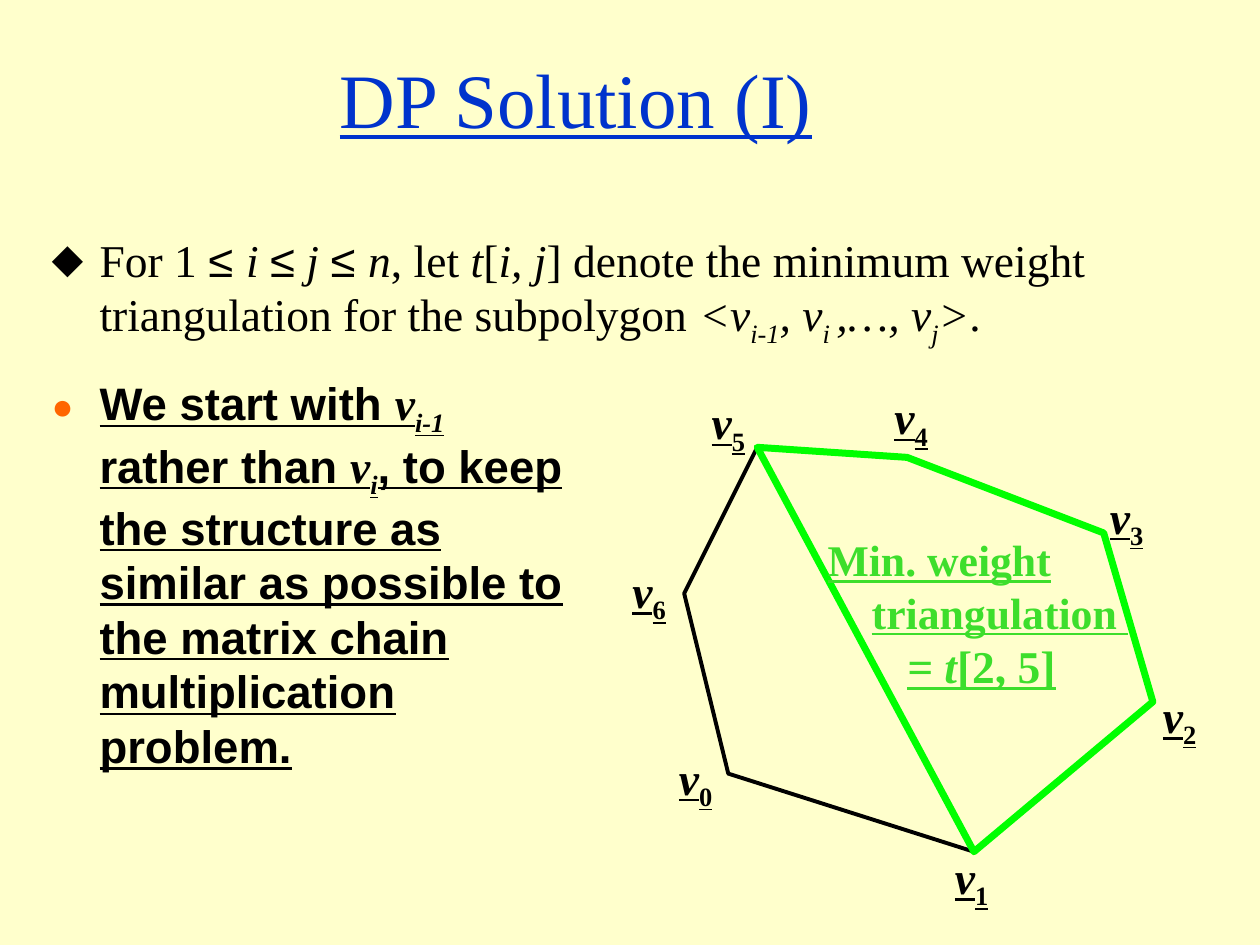
from lxml import etree
from pptx import Presentation
from pptx.dml.color import RGBColor
from pptx.enum import text
from pptx.oxml import ns
from pptx.util import Inches, Pt

CREAM = RGBColor(0xFF, 0xFF, 0xCC)
BLUE = RGBColor(0x00, 0x33, 0xCC)
INK = RGBColor(0x01, 0x00, 0x00)
BLACK = RGBColor(0x00, 0x00, 0x00)
ORANGE = RGBColor(0xFF, 0x66, 0x00)
LIME = RGBColor(0x00, 0xFF, 0x00)
GREEN = RGBColor(0x3D, 0xDE, 0x2C)

# Each run is (text, flags): a = Arial, i = italic, s = subscript
TITLE = [("DP Solution (I)", "")]
DEFINITION = [
    ("For 1 ", ""), ("≤ ", "a"), ("i ", "i"), ("≤", "a"), (" j ", "i"),
    ("≤ ", "a"), ("n", "i"), (", let ", ""), ("t", "i"), ("[", ""),
    ("i, j", "i"),
    ("] denote the minimum weight triangulation for the subpolygon ", ""),
    ("<v", "i"), ("i-1", "is"), (", v", "i"), ("i ", "is"), (",…, v", "i"),
    ("j", "is"), (">", "i"), (".", ""),
]
REASON = [
    ("We start with ", "a"), ("v", "i"), ("i-1", "is"),
    (" rather than ", "a"), ("v", "i"), ("i", "is"),
    (", to keep the structure as similar as possible to "
     "the matrix chain multiplication problem.", "a"),
]
# (runs, size, tab stop in inches)
CAPTION = [
    ([("Min. weight", "")], 25, None),
    ([("\ttriangulation", ""), (" ", "i")], 25, 0.35),
    ([("\t= t", "i"), ("[2, 5]", "")], 26, 0.63),
]
# Vertex v0 to v6: (corner, top left of its label)
VERTICES = [
    ((5.78, 6.14), (5.29, 5.9)),
    ((7.73, 6.76), (7.48, 6.69)),
    ((9.15, 5.57), (9.13, 5.41)),
    ((8.76, 4.23), (8.71, 3.83)),
    ((7.2, 3.63), (7, 3.04)),
    ((6.01, 3.55), (5.55, 3.08)),
    ((5.43, 4.71), (4.92, 4.42)),
]


def add_runs(paragraph, runs, size, color, **formats):
    for words, flags in runs:
        run = paragraph.add_run()
        run.text = words
        values = {"name": "Arial" if "a" in flags else "Times New Roman",
                  "size": Pt(size), "italic": "i" in flags, **formats}
        for name, value in values.items():
            setattr(run.font, name, value)
        run.font.color.rgb = color
        if "s" in flags:
            run.font._element.set("baseline", "-25000")


def add_property(paragraph, tag, **attributes):
    properties = paragraph._p.get_or_add_pPr()
    return etree.SubElement(properties, ns.qn(tag), attributes)


def set_bullet(paragraph, character, color, percent):
    properties = paragraph._p.get_or_add_pPr()
    properties.set("marL", str(Inches(0.38)))
    properties.set("indent", str(-Inches(0.38)))
    bullet_color = add_property(paragraph, "a:buClr")
    etree.SubElement(bullet_color, ns.qn("a:srgbClr"), val=str(color))
    add_property(paragraph, "a:buSzPct", val=str(percent * 1000))
    add_property(paragraph, "a:buFont", typeface="Arial")
    add_property(paragraph, "a:buChar", char=character)


def place(shape, left, top, width, height):
    box = {"left": left, "top": top, "width": width, "height": height}
    for name, value in box.items():
        setattr(shape, name, Inches(value))
    shape.text_frame.auto_size = text.MSO_AUTO_SIZE.NONE
    shape.text_frame.word_wrap = True
    return shape.text_frame


def add_textbox(left, top, width, height):
    return place(slide.shapes.add_textbox(0, 0, 0, 0), left, top, width, height)


def add_polygon(corners, color, width):
    points = [(Inches(x), Inches(y)) for x, y in corners]
    builder = slide.shapes.build_freeform(*points[0])
    builder.add_line_segments(points[1:], close=True)
    polygon = builder.convert_to_shape()
    polygon.shadow.inherit = False
    polygon.fill.background()
    polygon.line.color.rgb = color
    polygon.line.width = Pt(width)


presentation = Presentation()
presentation.slide_width, presentation.slide_height = Inches(10), Inches(7.5)
slide = presentation.slides.add_slide(presentation.slide_layouts[3])
slide.background.fill.solid()
slide.background.fill.fore_color.rgb = CREAM
title, definition, reason = slide.placeholders

frame = place(title, 0.28, 0.31, 8.58, 0.93)
frame.vertical_anchor = text.MSO_ANCHOR.MIDDLE
frame.paragraphs[0].alignment = text.PP_ALIGN.CENTER
add_runs(frame.paragraphs[0], TITLE, 44, BLUE, underline=True)

LISTS = [
    (definition, (0.31, 1.79, 9.38, 1.08), DEFINITION, INK, {},
     ("⬥", INK, 100)),
    (reason, (0.31, 2.93, 4.32, 3.64), REASON, BLACK,
     {"bold": True, "underline": True}, ("●", ORANGE, 80)),
]
for shape, box, runs, color, formats, bullet in LISTS:
    paragraph = place(shape, *box).paragraphs[0]
    paragraph.space_before, paragraph.space_after = Pt(0), Pt(6.5)
    set_bullet(paragraph, *bullet)
    add_runs(paragraph, runs, 26, color, **formats)

corners = [corner for corner, label in VERTICES]
add_polygon(corners, BLACK, 2.25)
for number, (corner, label) in enumerate(VERTICES):
    paragraph = add_textbox(*label, 0.62, 0.6).paragraphs[0]
    paragraph.space_before = Pt(16.2)
    add_runs(paragraph, [("v", "i"), (str(number), "s")], 26, BLACK,
             bold=True, underline=True)
add_polygon(corners[1:6], LIME, 4)

frame = add_textbox(6.47, 4.18, 3.01, 1.37)
for index, (runs, size, stop) in enumerate(CAPTION):
    paragraph = frame.add_paragraph() if index else frame.paragraphs[0]
    if stop:
        stops = add_property(paragraph, "a:tabLst")
        etree.SubElement(stops, ns.qn("a:tab"), pos=str(Inches(stop)), algn="l")
    add_runs(paragraph, runs, size, GREEN, bold=True, underline=True)

presentation.save("out.pptx")
